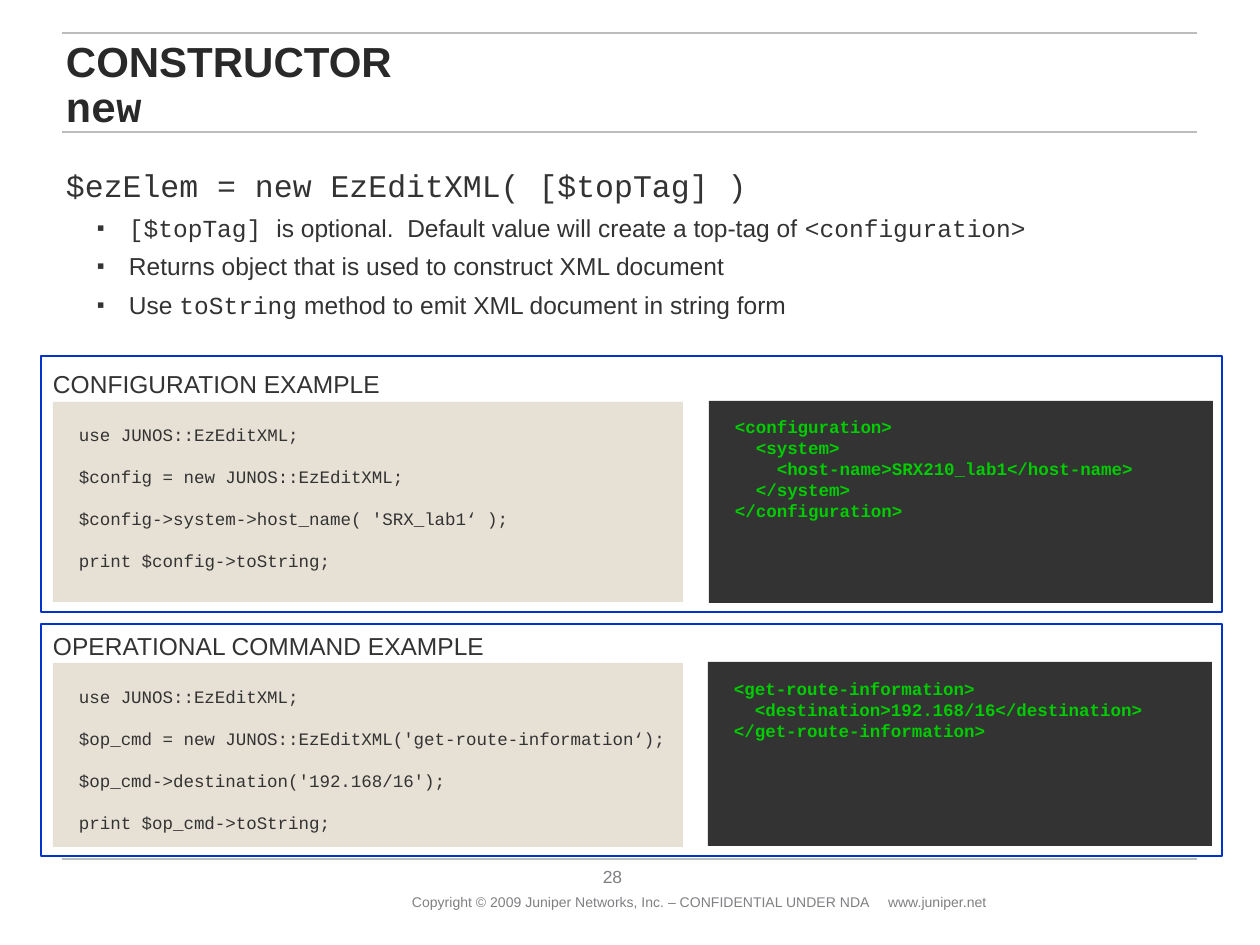
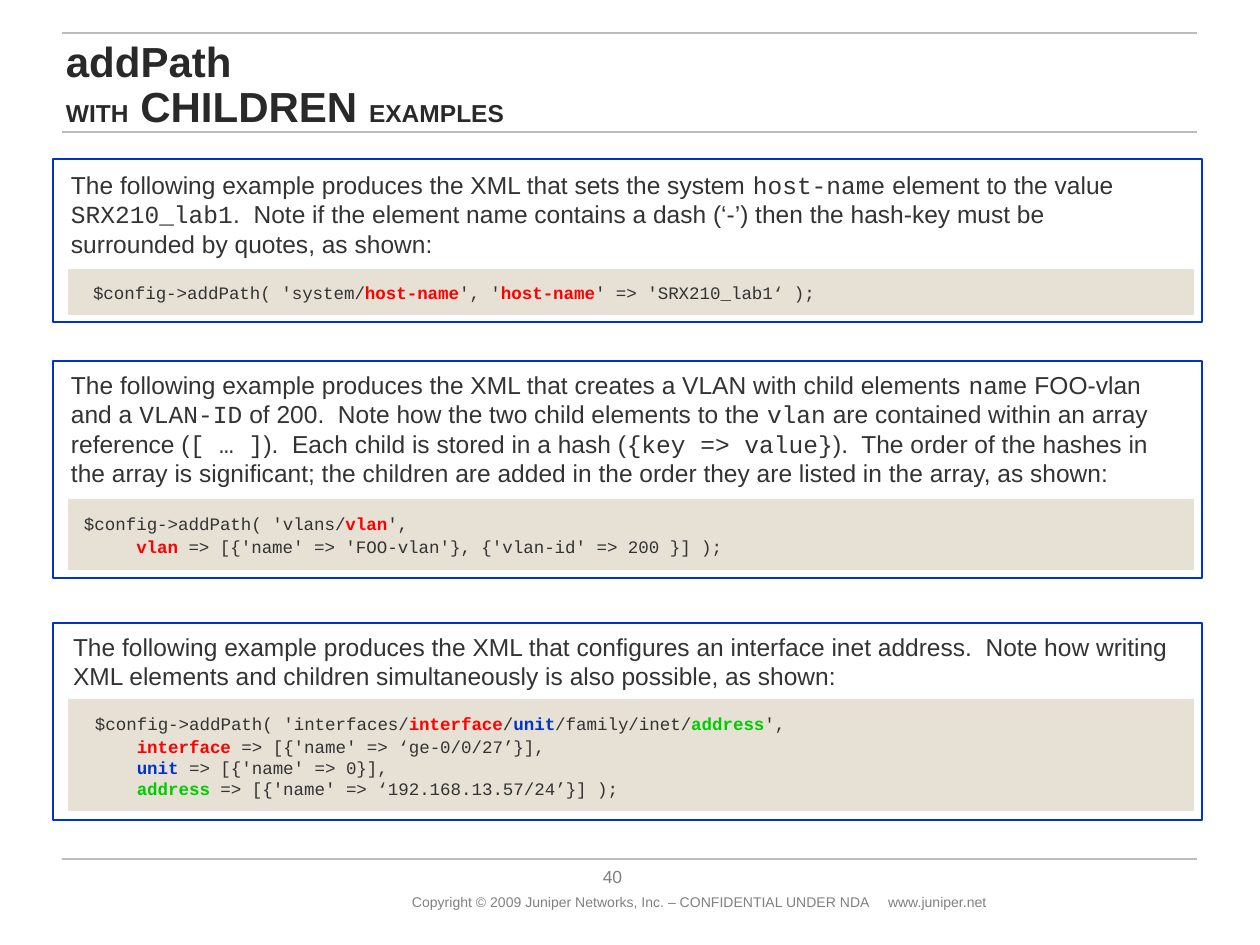
from dataclasses import dataclass, field

from lxml import etree
from pptx import Presentation
from pptx.dml.color import RGBColor
from pptx.enum.shapes import MSO_CONNECTOR, MSO_SHAPE
from pptx.enum.text import MSO_ANCHOR, PP_ALIGN
from pptx.oxml.ns import qn
from pptx.util import Pt

STRAIGHT = MSO_CONNECTOR.STRAIGHT
RECTANGLE = MSO_SHAPE.RECTANGLE
TOP, BOTTOM = MSO_ANCHOR.TOP, MSO_ANCHOR.BOTTOM
LEFT, CENTER = PP_ALIGN.LEFT, PP_ALIGN.CENTER

EMU_PER_PX = 914400 / 126
SANS, MONO = "Arial", "Courier New"


@dataclass(frozen=True)
class Theme:
    ink: str = "333333"
    rule: str = "BABCBE"
    frame: str = "0033CC"
    paper: str = "E7E1D5"
    terminal: str = "333333"
    leading: float = 1.2
    title_leading: float = 1.07
    styles: dict = field(default_factory=lambda: {
        "title": (24, SANS, "292929", True),
        "title code": (24, MONO, "292929", True),
        "title small": (14, SANS, "292929", True),
        "syntax": (18, MONO, "333333", False),
        "text": (14, SANS, "333333", False),
        "term": (14, MONO, "333333", False),
        "code": (10, MONO, "333333", False),
        "red": (10, MONO, "FF0000", True),
        "blue": (10, MONO, "0033CC", True),
        "green": (10, MONO, "00CC00", True),
        "page": (10, SANS, "807F83", False),
        "footer": (8, SANS, "807F83", False),
    })


THEME = Theme()

RULES = {"left": 62, "right": 1197, "tops": (33, 132, 859)}
TITLE_BOX = (66, 35, 1133, 102)
PAGE_BOX = (576, 859, 73, 28)
FOOTER_BOX = (399, 887, 611, 30)
FOOTER = ("Copyright © 2009 Juniper Networks, Inc. – CONFIDENTIAL UNDER NDA", "www.juniper.net")
FOOTER_TAB = 476

CONSTRUCTOR = {
    "page": "28",
    "title": [[("title", "CONSTRUCTOR")], [("title code", "new")]],
    "syntax": [("syntax", "$ezElem = new EzEditXML( [$topTag] )")],
    "bullets": [
        [("term", "[$topTag] "),
         ("text", "is optional.  Default value will create a top-tag of "),
         ("term", "<configuration>")],
        [("text", "Returns object that is used to construct XML document")],
        [("text", "Use "), ("term", "toString"),
         ("text", " method to emit XML document in string form")],
    ],
    "examples": [
        {
            "heading": "CONFIGURATION EXAMPLE",
            "frame": (41, 356, 1181, 256),
            "heading_box": (40, 363, 500, 43),
            "perl_panel": (53, 402, 630, 200),
            "perl_box": (66, 418, 588, 160),
            "perl": [
                "use JUNOS::EzEditXML;",
                "$config = new JUNOS::EzEditXML;",
                "$config->system->host_name( 'SRX_lab1‘ );",
                "print $config->toString;",
            ],
            "xml_panel": (709, 401, 504, 202),
            "xml_box": (722, 410, 438, 118),
            "xml": [
                "<configuration>",
                "  <system>",
                "    <host-name>SRX210_lab1</host-name>",
                "  </system>",
                "</configuration>",
            ],
        },
        {
            "heading": "OPERATIONAL COMMAND EXAMPLE",
            "frame": (41, 624, 1181, 232),
            "heading_box": (40, 625, 500, 43),
            "perl_panel": (53, 663, 630, 184),
            "perl_box": (66, 680, 706, 160),
            "perl": [
                "use JUNOS::EzEditXML;",
                "$op_cmd = new JUNOS::EzEditXML('get-route-information‘);",
                "$op_cmd->destination('192.168/16');",
                "print $op_cmd->toString;",
            ],
            "xml_panel": (708, 662, 504, 184),
            "xml_box": (721, 672, 438, 76),
            "xml": [
                "<get-route-information>",
                "  <destination>192.168/16</destination>",
                "</get-route-information>",
            ],
        },
    ],
}

ADD_PATH = {
    "page": "40",
    "title": [
        [("title", "addPath")],
        [("title small", "WITH"), ("title", " CHILDREN "), ("title small", "EXAMPLES")],
    ],
    "examples": [
        {
            "frame": (53, 159, 1149, 163),
            "intro_box": (58, 164, 1105, 100),
            "intro": [
                ("text", "The following example produces the XML that sets the system "),
                ("term", "host-name"), ("text", " element to the value "),
                ("term", "SRX210_lab1"),
                ("text", ".  Note if the element name contains a dash (‘-’) then the "
                         "hash-key must be surrounded by quotes, as shown:"),
            ],
            "panel": (68, 269, 1126, 46),
            "code_box": (80, 276, 900, 34),
            "code": [
                [("code", "$config->addPath( 'system/"), ("red", "host-name"), ("code", "', '"),
                 ("red", "host-name"), ("code", "' => 'SRX210_lab1‘ );")],
            ],
        },
        {
            "frame": (53, 361, 1149, 217),
            "intro_box": (58, 364, 1142, 130),
            "intro": [
                ("text", "The following example produces the XML that creates a VLAN with "
                         "child elements "),
                ("term", "name"), ("text", " FOO-vlan and a "), ("term", "VLAN-ID"),
                ("text", " of 200.  Note how the two child elements to the "), ("term", "vlan"),
                ("text", " are contained within an array reference ("), ("term", "[ … ]"),
                ("text", ").  Each child is stored in a hash ("), ("term", "{key => value}"),
                ("text", ").  The order of the hashes in the array is significant; the children "
                         "are added in the order they are listed in the array, as shown:"),
            ],
            "panel": (68, 499, 1126, 71),
            "code_box": (71, 507, 900, 58),
            "code": [
                [("code", "$config->addPath( 'vlans/"), ("red", "vlan"), ("code", "',")],
                [("code", "     "), ("red", "vlan"),
                 ("code", " => [{'name' => 'FOO-vlan'}, {'vlan-id' => 200 }] );")],
            ],
        },
        {
            "frame": (53, 623, 1149, 197),
            "intro_box": (60, 626, 1142, 70),
            "intro": [
                ("text", "The following example produces the XML that configures an interface "
                         "inet address.  Note how writing XML elements and children "
                         "simultaneously is also possible, as shown:"),
            ],
            "panel": (68, 699, 1126, 112),
            "code_box": (82, 707, 900, 100),
            "code": [
                [("code", "$config->addPath( 'interfaces/"), ("red", "interface"), ("code", "/"),
                 ("blue", "unit"), ("code", "/family/inet/"), ("green", "address"),
                 ("code", "',")],
                [("code", "    "), ("red", "interface"),
                 ("code", " => [{'name' => ‘ge-0/0/27’}],")],
                [("code", "    "), ("blue", "unit"), ("code", " => [{'name' => 0}],")],
                [("code", "    "), ("green", "address"),
                 ("code", " => [{'name' => ‘192.168.13.57/24’}] );")],
            ],
        },
    ],
}


def px(length):
    return round(length * EMU_PER_PX)


def place(box):
    return [px(length) for length in box]


def colour(code):
    return RGBColor.from_string(code)


def add_runs(paragraph, runs):
    for style, text in runs:
        size, face, ink, bold = THEME.styles[style]
        run = paragraph.add_run()
        run.text = text
        run.font.size, run.font.name, run.font.bold = Pt(size), face, bold
        run.font.color.rgb = colour(ink)


def add_text(slide, box, paragraphs, inset=(13, 6), anchor=TOP, align=LEFT, gap=0):
    frame = slide.shapes.add_textbox(*place(box)).text_frame
    frame.word_wrap = True
    frame.vertical_anchor = anchor
    frame.margin_left = frame.margin_right = px(inset[0])
    frame.margin_top = frame.margin_bottom = px(inset[1])
    for index, runs in enumerate(paragraphs):
        paragraph = frame.add_paragraph() if index else frame.paragraphs[0]
        paragraph.alignment = align
        largest = max(THEME.styles[style][0] for style, _ in runs)
        paragraph.line_spacing = Pt(largest * THEME.leading)
        if index:
            paragraph.space_before = Pt(gap)
        add_runs(paragraph, runs)
    return frame


def add_rectangle(slide, box, fill=None, line=None):
    rectangle = slide.shapes.add_shape(RECTANGLE, *place(box))
    rectangle.shadow.inherit = False
    if fill:
        rectangle.fill.solid()
        rectangle.fill.fore_color.rgb = colour(fill)
    else:
        rectangle.fill.background()
    if line:
        rectangle.line.color.rgb = colour(line)
        rectangle.line.width = Pt(1)
    else:
        rectangle.line.fill.background()


def add_rule(slide, top):
    rule = slide.shapes.add_connector(
        STRAIGHT, px(RULES["left"]), px(top), px(RULES["right"]), px(top))
    rule.line.color.rgb = colour(THEME.rule)
    rule.line.width = Pt(1)
    etree.SubElement(rule._element.spPr, qn("a:effectLst"))


def set_bullet(paragraph):
    properties = paragraph._p.get_or_add_pPr()
    properties.set("marL", str(px(63)))
    properties.set("indent", str(px(-32)))
    ink = etree.SubElement(properties, qn("a:buClr"))
    etree.SubElement(ink, qn("a:srgbClr"), val=THEME.ink)
    etree.SubElement(properties, qn("a:buSzPct"), val="90000")
    etree.SubElement(properties, qn("a:buFont"), typeface=SANS)
    etree.SubElement(properties, qn("a:buChar"), char="▪")


def add_base(deck, content):
    slide = deck.slides.add_slide(deck.slide_layouts[6])
    for top in RULES["tops"]:
        add_rule(slide, top)
    add_text(slide, PAGE_BOX, [[("page", content["page"])]], (0, 0), BOTTOM, CENTER)
    footer = add_text(slide, FOOTER_BOX, [[("footer", "\t".join(FOOTER))]]).paragraphs[0]
    tabs = etree.SubElement(footer._p.get_or_add_pPr(), qn("a:tabLst"))
    etree.SubElement(tabs, qn("a:tab"), pos=str(px(FOOTER_TAB)), algn="l")

    first, second = content["title"]
    title = add_text(slide, TITLE_BOX, [first], (0, 6), BOTTOM).paragraphs[0]
    title.line_spacing = Pt(round(THEME.styles["title"][0] * THEME.title_leading, 1))
    title.add_line_break()
    add_runs(title, second)
    return slide


def build_constructor(deck):
    slide = add_base(deck, CONSTRUCTOR)
    body = add_text(slide, (66, 160, 1118, 190),
                    [CONSTRUCTOR["syntax"], *CONSTRUCTOR["bullets"]], (0, 6), gap=5.2)
    for bullet in body.paragraphs[1:]:
        set_bullet(bullet)
    for example in CONSTRUCTOR["examples"]:
        add_rectangle(slide, example["perl_panel"], THEME.paper)
        add_text(slide, example["perl_box"], [[("code", line)] for line in example["perl"]], gap=12)
        add_rectangle(slide, example["xml_panel"], THEME.terminal)
        add_text(slide, example["xml_box"], [[("green", line)] for line in example["xml"]])
        add_rectangle(slide, example["frame"], line=THEME.frame)
        add_text(slide, example["heading_box"], [[("text", example["heading"])]])


def build_add_path(deck):
    slide = add_base(deck, ADD_PATH)
    for example in ADD_PATH["examples"]:
        add_rectangle(slide, example["panel"], THEME.paper)
        add_text(slide, example["intro_box"], [example["intro"]])
        code = add_text(slide, example["code_box"], example["code"])
        if len(code.paragraphs) > 1:
            code.paragraphs[0].space_after = Pt(1.2)
        add_rectangle(slide, example["frame"], line=THEME.frame)


def main():
    deck = Presentation()
    deck.slide_width, deck.slide_height = px(1260), px(945)
    build_constructor(deck)
    build_add_path(deck)
    deck.save("out.pptx")


if __name__ == "__main__":
    main()
